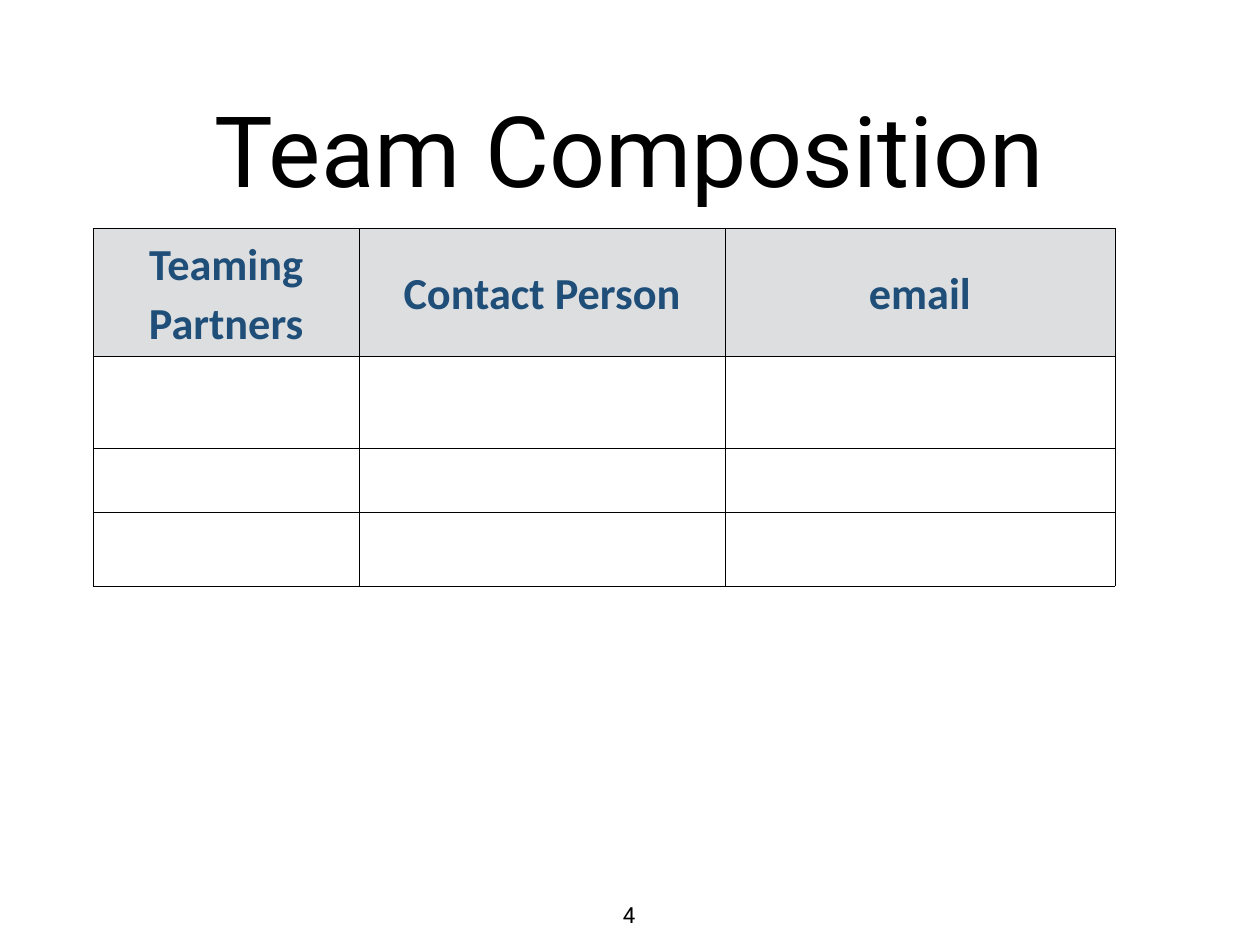
import pptx
import pptx.dml.color
import pptx.enum.text
import pptx.oxml
import pptx.oxml.ns
import pptx.util
from dataclasses import dataclass

Pt = pptx.util.Pt
ALIGN = pptx.enum.text.PP_ALIGN
ANCHOR = pptx.enum.text.MSO_ANCHOR
FIT = pptx.enum.text.MSO_AUTO_SIZE

TITLE = "Team Composition"
PAGE_NUMBER = "4"
HEADINGS = ["Teaming Partners", "Contact Person", "email"]
COLUMN_WIDTHS = [216, 297.4, 316.8]
HEADING_HEIGHT = 102.4
PARTNER_HEIGHTS = [74.5, 52.3, 60]  # one empty row for each partner

SLIDE_SIZE = (1024, 768)
TITLE_BOX = (75, 35, 874, 170)
TABLE_CORNER = (75.8, 185.8)
NUMBER_BOX = (502, 728.6, 18.7, 30)


@dataclass(frozen=True)
class Theme:
    """Colours, fonts, type sizes and insets of the slide."""
    ink: str = "000000"
    heading: str = "1F4E79"
    heading_fill: str = "DCDEE0"
    paper: str = "FFFFFF"
    main_font: str = "Roboto"
    table_font: str = "Calibri"
    title_size: int = 80
    heading_size: int = 36
    number_size: int = 18
    inset: float = 4.3
    border: float = 0.5


THEME = Theme()


def rgb(code):
    """Return the colour for a hex code."""
    return pptx.dml.color.RGBColor.from_string(code)


def set_margins(holder):
    """Give a text frame or cell the common inset on every side."""
    for side in ("left", "top", "right", "bottom"):
        setattr(holder, f"margin_{side}", Pt(THEME.inset))


def write(frame, text, font, size, color, bold=False):
    """Write one centred paragraph and return it."""
    frame.text = text
    para = frame.paragraphs[0]
    para.alignment = ALIGN.CENTER
    para.font.name = font
    para.font.size = Pt(size)
    para.font.bold = bold
    para.font.color.rgb = rgb(color)
    return para


def outline(cell):
    """Draw a thin line on all four sides of a cell."""
    properties = cell._tc.get_or_add_tcPr()
    for index, side in enumerate("LRTB"):
        line = pptx.oxml.parse_xml(
            f'<a:ln{side} {pptx.oxml.ns.nsdecls("a")} w="{Pt(THEME.border)}">'
            f'<a:solidFill><a:srgbClr val="{THEME.ink}"/></a:solidFill></a:ln{side}>')
        properties.insert(index, line)


def add_title(page):
    """Place and fill the title placeholder."""
    title = page.shapes.title
    title.left, title.top, title.width, title.height = map(Pt, TITLE_BOX)
    frame = title.text_frame
    frame.auto_size = FIT.NONE
    frame.word_wrap = True
    frame.vertical_anchor = ANCHOR.MIDDLE
    set_margins(frame)
    write(frame, TITLE, THEME.main_font, THEME.title_size, THEME.ink)


def add_partner_table(page):
    """Add the partner table with its headings and empty rows."""
    heights = [HEADING_HEIGHT, *PARTNER_HEIGHTS]
    table = page.shapes.add_table(
        len(heights), len(HEADINGS), *map(Pt, TABLE_CORNER),
        Pt(sum(COLUMN_WIDTHS)), Pt(sum(heights))).table
    table.horz_banding = False
    for column, width in zip(table.columns, COLUMN_WIDTHS):
        column.width = Pt(width)
    for row, height in zip(table.rows, heights):
        row.height = Pt(height)
    for cell in table.iter_cells():
        cell.fill.solid()
        cell.fill.fore_color.rgb = rgb(THEME.paper)
        cell.vertical_anchor = ANCHOR.MIDDLE
        set_margins(cell)
        outline(cell)
    for cell, heading in zip(table.rows[0].cells, HEADINGS):
        cell.fill.fore_color.rgb = rgb(THEME.heading_fill)
        para = write(cell.text_frame, heading, THEME.table_font,
                     THEME.heading_size, THEME.heading, bold=True)
        para.line_spacing = 1.08
        para.space_before = Pt(8)


def add_page_number(page):
    """Add the page number at the foot of the slide."""
    frame = page.shapes.add_textbox(*map(Pt, NUMBER_BOX)).text_frame
    frame.word_wrap = False
    frame.auto_size = FIT.SHAPE_TO_FIT_TEXT
    set_margins(frame)
    write(frame, PAGE_NUMBER, THEME.main_font, THEME.number_size, THEME.ink)


deck = pptx.Presentation()
deck.slide_width, deck.slide_height = map(Pt, SLIDE_SIZE)
page = deck.slides.add_slide(deck.slide_layouts.get_by_name("Title Only"))
add_title(page)
add_partner_table(page)
add_page_number(page)
deck.save("out.pptx")
